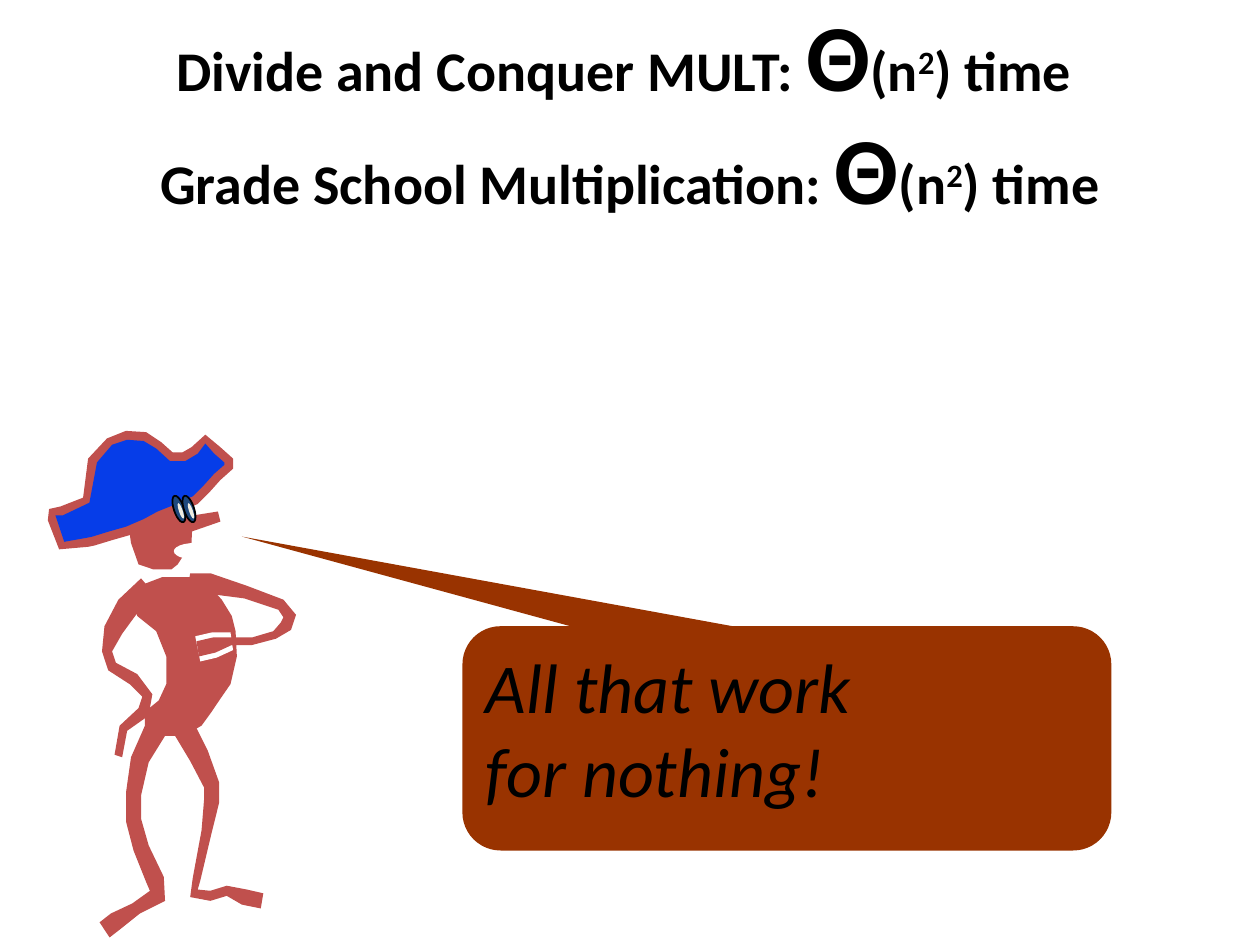
import math

import pptx
import pptx.dml.color
import pptx.enum.shapes
import pptx.enum.text
import pptx.util

SCALE = 9144
FONT = "Calibri"
BLACK = pptx.dml.color.RGBColor(0x00, 0x00, 0x00)
WHITE = pptx.dml.color.RGBColor(0xFF, 0xFF, 0xFF)
RUST = pptx.dml.color.RGBColor(0x99, 0x33, 0x00)
SKIN = pptx.dml.color.RGBColor(0xC0, 0x50, 0x4D)
HAT_BLUE = pptx.dml.color.RGBColor(0x06, 0x3D, 0xE8)
LENS_NAVY = pptx.dml.color.RGBColor(0x1F, 0x49, 0x7D)
LENS_CREAM = pptx.dml.color.RGBColor(0xEE, 0xEC, 0xE1)


def unit_normal(start, end):
    across, down = end[0] - start[0], end[1] - start[1]
    length = math.hypot(across, down)
    return down / length, -across / length


def shifted(point, normal, distance):
    return tuple(round(place + distance * part) for place, part in zip(point, normal))


def limb_outline(joints):
    upper, lower = [], []
    for index, (x, y, thickness) in enumerate(joints):
        before = joints[max(index - 1, 0)]
        after = joints[min(index + 1, len(joints) - 1)]
        normal = unit_normal(before, after)
        upper.append(shifted((x, y), normal, thickness / 2))
        lower.append(shifted((x, y), normal, -thickness / 2))
    return upper + lower[::-1]


def body_outline(rows):
    return [(right, y) for y, left, right in rows] + [(left, y) for y, left, right in rows[::-1]]


def hat_outline(columns):
    return [(x, top) for x, top, bottom in columns] + [(x, bottom) for x, top, bottom in columns[::-1]]


def grown(outline, margin):
    corners = []
    for index, corner in enumerate(outline):
        before = outline[index - 1]
        after = outline[(index + 1) % len(outline)]
        first, second = unit_normal(before, corner), unit_normal(corner, after)
        blend = first[0] + second[0], first[1] + second[1]
        length = math.hypot(*blend)
        corners.append(shifted(corner, (blend[0] / length, blend[1] / length), margin))
    return corners


class Sketch:
    """Draws styled elements on the current slide, in px of 1/100 inch."""

    def __init__(self, slide):
        self.slide = slide
        self.figure = None

    def box(self, *lengths):
        return [pptx.util.Emu(length * SCALE) for length in lengths]

    def paint(self, shape, fill, outline=None):
        shape.shadow.inherit = False
        shape.fill.solid()
        shape.fill.fore_color.rgb = fill
        if outline is None:
            shape.line.fill.background()
        else:
            shape.line.color.rgb = outline
            shape.line.width = pptx.util.Pt(1)

    def title(self, left, top, width, height, methods):
        frame = self.slide.shapes.add_textbox(*self.box(left, top, width, height)).text_frame
        frame.word_wrap = True
        frame.vertical_anchor = pptx.enum.text.MSO_ANCHOR.MIDDLE
        heading = frame.paragraphs[0]
        heading.alignment = pptx.enum.text.PP_ALIGN.CENTER
        heading.font.name = FONT
        heading.font.bold = True
        heading.font.color.rgb = BLACK
        for number, method in enumerate(methods):
            if number:
                heading.add_line_break()
            ending = ") time" if number == len(methods) - 1 else ") time "
            for text, size in ((method, 32), ("Θ", 54), ("(n", 32), ("2", 32), (ending, 32)):
                run = heading.add_run()
                run.text = text
                run.font.size = pptx.util.Pt(size)
                if text == "2":
                    run._r.get_or_add_rPr().set("baseline", "30000")

    def callout(self, left, top, width, height, adjustments, text):
        bubble = self.slide.shapes.add_shape(
            pptx.enum.shapes.MSO_SHAPE.ROUNDED_RECTANGULAR_CALLOUT,
            *self.box(left, top, width, height))
        self.paint(bubble, RUST)
        for index, value in enumerate(adjustments):
            bubble.adjustments[index] = value
        bubble.text_frame.vertical_anchor = pptx.enum.text.MSO_ANCHOR.TOP
        speech = bubble.text_frame.paragraphs[0]
        speech.text = text
        speech.alignment = pptx.enum.text.PP_ALIGN.LEFT
        speech.font.name = FONT
        speech.font.size = pptx.util.Pt(40)
        speech.font.italic = True
        speech.font.color.rgb = BLACK

    def start_figure(self):
        self.figure = self.slide.shapes.add_group_shape()

    def outline(self, points, fill):
        builder = self.figure.shapes.build_freeform(*points[0], scale=SCALE)
        builder.add_line_segments(points[1:], close=True)
        self.paint(builder.convert_to_shape(), fill)

    def ellipse(self, left, top, width, height, fill, outline=None, rotation=0):
        oval = self.figure.shapes.add_shape(
            pptx.enum.shapes.MSO_SHAPE.OVAL, *self.box(left, top, width, height))
        oval.rotation = rotation
        self.paint(oval, fill, outline)


def draw_body(sketch):
    head = [(385, 108, 147), (410, 101, 153), (431, 104, 152), (448, 110, 141), (452, 122, 136)]
    torso = [(458, 129, 151), (466, 108, 167), (476, 106, 176), (489, 109, 184),
             (501, 124, 187), (521, 132, 188), (543, 132, 183), (556, 126, 174),
             (565, 115, 168), (576, 115, 160), (584, 126, 146)]
    for rows in (head, torso):
        sketch.outline(body_outline(rows), SKIN)


def draw_limbs(sketch):
    hand = [(184, 509, 6), (170, 512, 12), (157, 515, 13)]
    hand_gap = [(x, y, thickness + 8) for x, y, thickness in hand]
    sketch.outline(limb_outline(hand_gap), WHITE)
    limbs = {
        "nose": [(150, 416, 13), (174, 410, 9)],
        "hip arm": [(118, 466, 18), (101, 482, 18), (90, 500, 15), (85, 517, 8), (89, 529, 8),
                    (106, 539, 10), (117, 552, 9), (114, 565, 10), (98, 578, 8), (94, 600, 6)],
        "chest arm": [(150, 461, 13), (165, 463, 17), (195, 470, 10), (223, 480, 8),
                      (230, 489, 11), (227, 497, 10), (218, 504, 6), (200, 509, 6)] + hand,
        "left leg": [(130, 562, 16), (123, 580, 18), (111, 603, 14), (106, 630, 12),
                     (106, 651, 12), (112, 673, 13), (123, 698, 14), (125, 711, 14),
                     (108, 721, 10), (92, 731, 15), (83, 738, 14)],
        "right leg": [(140, 566, 12), (147, 580, 18), (158, 600, 16), (168, 623, 12),
                      (168, 636, 12), (164, 660, 9), (156, 698, 7), (154, 709, 9),
                      (167, 711, 9), (180, 707, 9), (194, 712, 12), (208, 715, 13)],
    }
    for joints in limbs.values():
        sketch.outline(limb_outline(joints), SKIN)


def draw_hat(sketch):
    brim_left = [(42, 407, 412), (49, 406, 433), (69, 397, 430)]
    crown = [(74, 366, 429), (87, 351, 425), (101, 346, 421), (115, 347, 415), (126, 354, 409)]
    brim_right = [(136, 363, 405), (146, 363, 400), (155, 358, 397), (163, 349, 388),
                  (172, 358, 378), (181, 366, 370)]
    hat = hat_outline(brim_left + crown + brim_right)
    for margin, colour in ((4, SKIN), (-3, HAT_BLUE)):
        sketch.outline(grown(hat, margin), colour)


def draw_face(sketch):
    tilt = 71.4
    for lens_left in (131, 139):
        sketch.ellipse(lens_left, 400, 22, 8, LENS_NAVY, BLACK, tilt)
        sketch.ellipse(lens_left + 6, 404, 13, 3, LENS_CREAM, rotation=tilt)
    sketch.ellipse(138, 431, 33, 13, WHITE)


def main():
    deck = pptx.Presentation()
    deck.slide_width = pptx.util.Emu(1000 * SCALE)
    deck.slide_height = pptx.util.Emu(750 * SCALE)
    sketch = Sketch(deck.slides.add_slide(deck.slide_layouts[6]))
    sketch.title(0, 25, 1000, 125,
                 ["Divide and Conquer MULT: ", "Grade School Multiplication: "])
    sketch.callout(367, 497, 515, 178, (-0.84, -0.9, 0.17), "All that work \vfor nothing!")
    sketch.start_figure()
    for draw in (draw_body, draw_limbs, draw_hat, draw_face):
        draw(sketch)
    deck.save("out.pptx")


if __name__ == "__main__":
    main()
